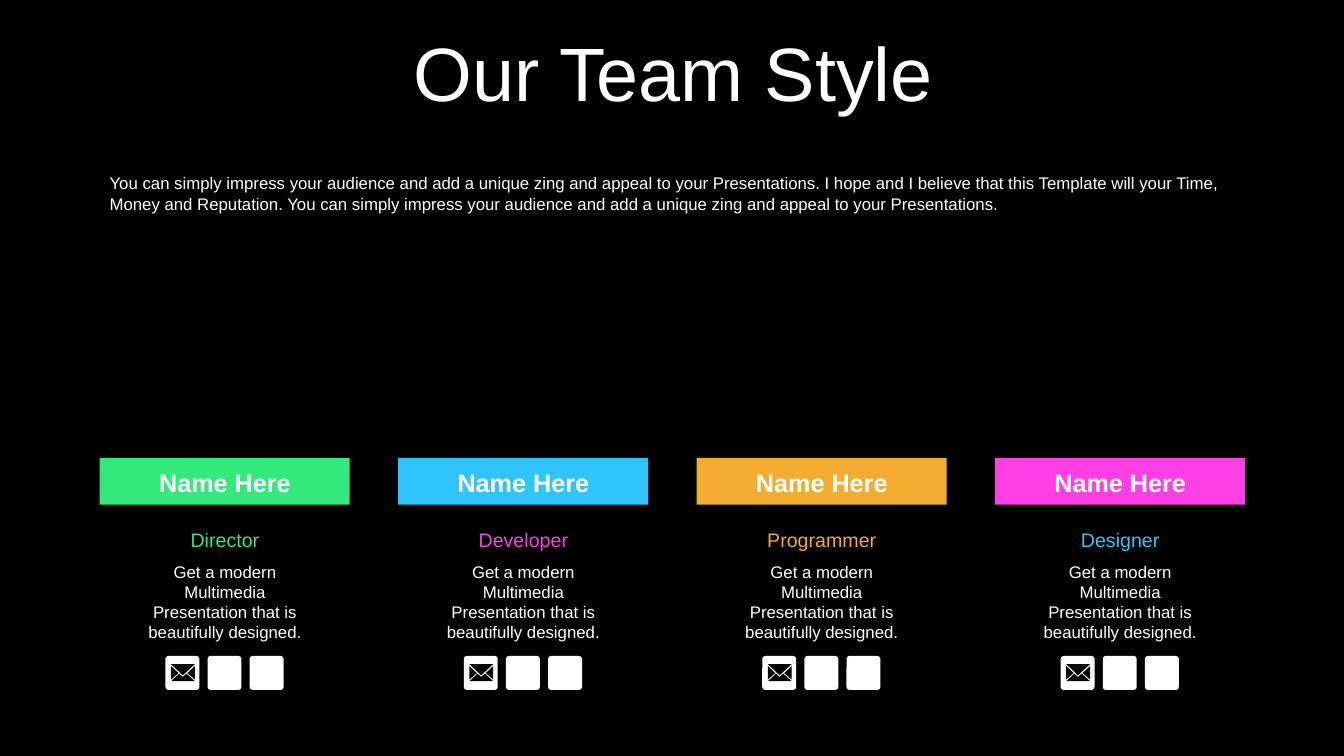
import pptx
import pptx.dml.color
import pptx.enum.shapes
import pptx.enum.text
import pptx.util

Pt = pptx.util.Pt
RGB = pptx.dml.color.RGBColor
ALIGN = pptx.enum.text.PP_ALIGN
ANCHOR = pptx.enum.text.MSO_ANCHOR
SHAPE = pptx.enum.shapes.MSO_SHAPE

BLACK = RGB(0x00, 0x00, 0x00)
WHITE = RGB(0xFF, 0xFF, 0xFF)
GREEN = RGB(0x33, 0xE9, 0x7C)
BLUE = RGB(0x2F, 0xC5, 0xFA)
ORANGE = RGB(0xF2, 0xAC, 0x30)
PINK = RGB(0xFE, 0x3F, 0xE4)

INTRO = ("You can simply impress your audience and add a unique zing and appeal "
         "to your Presentations. I hope and I believe that this Template will your "
         "Time, Money and Reputation. You can simply impress your audience and add "
         "a unique zing and appeal to your Presentations.")
BIO = "Get a modern Multimedia Presentation that is beautifully designed."

# Role, bar colour, role colour
TEAM = [
    ("Director", GREEN, GREEN),
    ("Developer", BLUE, PINK),
    ("Programmer", ORANGE, ORANGE),
    ("Designer", PINK, BLUE),
]

# Card grid, in points
LEFT, STEP, WIDTH = 71.2, 213.15, 178.6
INSET, INNER = 18.5, 142
ICON, GAP, ICON_TOP = 24.2, 30.1, 468.6

# Envelope outlines inside an icon: flap, left side, right side, base
MAIL = [
    [(4, 5.8), (21, 5.8), (12.4, 13.8)],
    [(4, 7.2), (9.3, 12.2), (4, 16.8)],
    [(21, 7.2), (21, 16.8), (15.7, 12.2)],
    [(4, 18), (9.9, 12.6), (12.4, 15), (15, 12.6), (21, 18)],
]


def put_text(frame, text, size, color, align=ALIGN.CENTER, bold=False):
    frame.word_wrap = True
    para = frame.paragraphs[0]
    para.alignment = align
    run = para.add_run()
    run.text = text
    font = run.font
    font.name, font.size, font.bold = "Arial", Pt(size), bold
    font.color.rgb = color
    return para


def add_text(slide, box, text, size, color, anchor=ANCHOR.TOP, **style):
    frame = slide.shapes.add_textbox(*map(Pt, box)).text_frame
    frame.vertical_anchor = anchor
    put_text(frame, text, size, color, **style)


def paint(shape, color):
    shape.shadow.inherit = False
    shape.fill.solid()
    shape.fill.fore_color.rgb = color
    shape.line.fill.background()


def add_block(slide, kind, box, color):
    shape = slide.shapes.add_shape(kind, *map(Pt, box))
    paint(shape, color)
    return shape


def add_mail(slide, left, top):
    paths = [[(Pt(left + x), Pt(top + y)) for x, y in part] for part in MAIL]
    pen = slide.shapes.build_freeform(*paths[0][0], scale=1.0)
    for path in paths:
        pen.move_to(*path[0])
        pen.add_line_segments(path[1:], close=True)
    paint(pen.convert_to_shape(), BLACK)


def add_title(slide, text):
    title = slide.shapes.title
    title.left, title.top, title.width, title.height = map(Pt, (25.2, 26.6, 911.5, 56.9))
    title.text_frame.vertical_anchor = ANCHOR.MIDDLE
    put_text(title.text_frame, text, 54, WHITE).line_spacing = 0.9


def add_card(slide, left, role, bar, tint):
    add_block(slide, SHAPE.RECTANGLE, (left, 327.1, WIDTH, 33.3), bar)
    inner = left + INSET
    add_text(slide, (inner, 334.8, INNER, 19.4), "Name Here", 18, WHITE,
             ANCHOR.MIDDLE, bold=True)
    add_text(slide, (inner, 373, INNER, 25.2), role, 14, tint, ANCHOR.MIDDLE)
    add_text(slide, (inner, 397.4, INNER, 65.5), BIO, 12, WHITE)

    # Contact icons: mail first, then two plain tiles
    first = left + 47
    for i in range(3):
        tile = add_block(slide, SHAPE.ROUNDED_RECTANGLE,
                         (first + i * GAP, ICON_TOP, ICON, ICON), WHITE)
        tile.adjustments[0] = 0.09
    add_mail(slide, first, ICON_TOP)


def main():
    deck = pptx.Presentation()
    deck.slide_width, deck.slide_height = Pt(960), Pt(540)
    slide = deck.slides.add_slide(deck.slide_layouts[5])
    back = slide.background.fill
    back.solid()
    back.fore_color.rgb = BLACK

    # Heading and intro
    add_title(slide, "Our Team Style")
    add_text(slide, (LEFT, 120.2, 818, 36), INTRO, 12, WHITE, align=ALIGN.LEFT)

    # Team cards
    for i, member in enumerate(TEAM):
        add_card(slide, LEFT + i * STEP, *member)

    deck.save("out.pptx")


if __name__ == "__main__":
    main()
